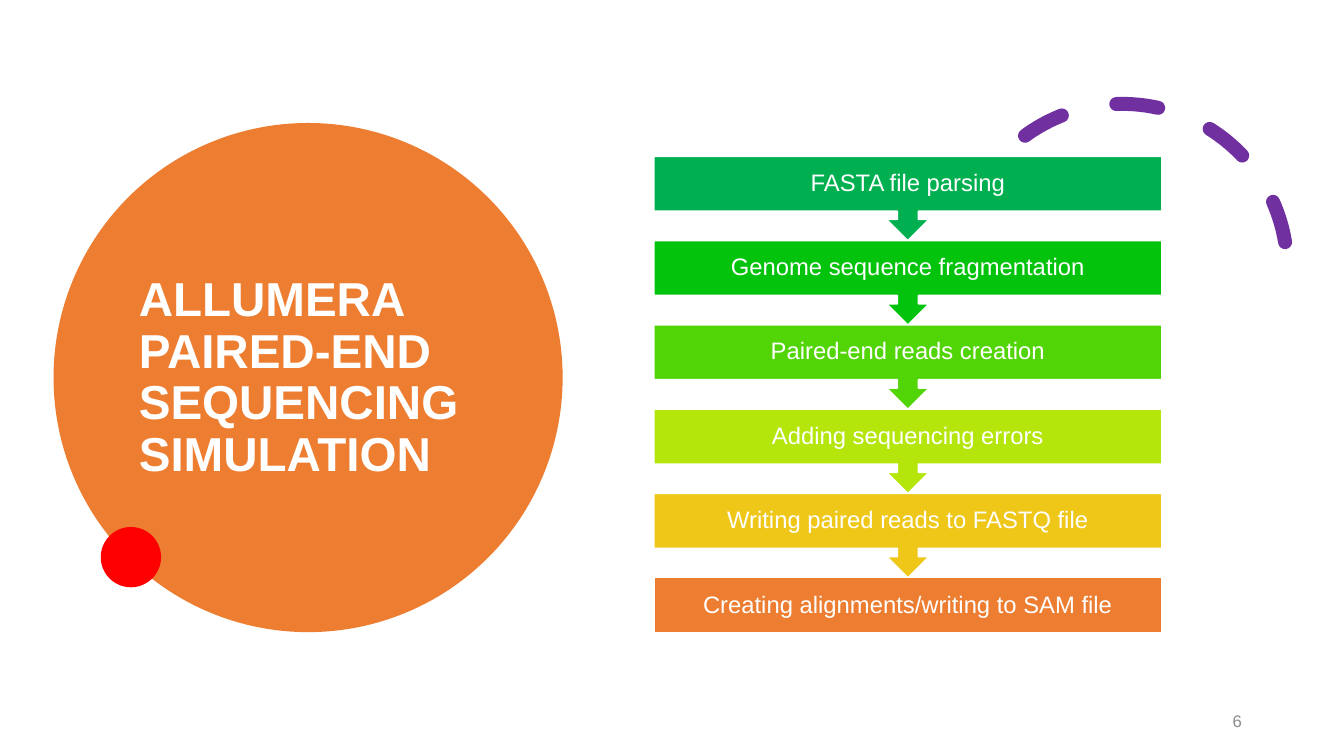
import pptx
import pptx.dml.color
import pptx.enum.dml
import pptx.enum.shapes
import pptx.enum.text
import pptx.oxml.ns
import pptx.util

Cm = pptx.util.Cm
Pt = pptx.util.Pt
RGBColor = pptx.dml.color.RGBColor
Shape = pptx.enum.shapes.MSO_SHAPE
Align = pptx.enum.text.PP_ALIGN

WHITE = RGBColor(0xFF, 0xFF, 0xFF)
ORANGE = RGBColor(0xED, 0x7D, 0x31)
RED = RGBColor(0xFF, 0x00, 0x00)
PURPLE = RGBColor(0x70, 0x30, 0xA0)
GREY = RGBColor(0x8C, 0x8C, 0x8C)
GREEN = RGBColor(0x00, 0xB0, 0x50)
BRIGHT_GREEN = RGBColor(0x03, 0xC3, 0x0C)
LEAF = RGBColor(0x52, 0xD5, 0x07)
LIME = RGBColor(0xB5, 0xE6, 0x0C)
GOLD = RGBColor(0xEF, 0xC7, 0x19)

TITLE = {"size": Pt(34), "bold": True, "color": WHITE}
STEP = {"size": Pt(17), "color": WHITE}
NUMBER = {"size": Pt(12), "color": GREY}

STEPS = [
    ("FASTA file parsing", GREEN),
    ("Genome sequence fragmentation", BRIGHT_GREEN),
    ("Paired-end reads creation", LEAF),
    ("Adding sequencing errors", LIME),
    ("Writing paired reads to FASTQ file", GOLD),
    ("Creating alignments/writing to SAM file", ORANGE),
]


def write_text(shape, text, look, align, spacing=1.0):
    frame = shape.text_frame
    frame.word_wrap = True
    frame.vertical_anchor = pptx.enum.text.MSO_ANCHOR.MIDDLE
    para = frame.paragraphs[0]
    para.alignment = align
    para.line_spacing = spacing
    span = para.add_run()
    span.text = text
    span.font.name = "Arial"
    for name, value in look.items():
        if name == "color":
            span.font.color.rgb = value
        else:
            setattr(span.font, name, value)


def add_filled(page, kind, left, top, width, height, color):
    shape = page.shapes.add_shape(kind, Cm(left), Cm(top), Cm(width), Cm(height))
    shape.shadow.inherit = False
    shape.fill.solid()
    shape.fill.fore_color.rgb = color
    shape.line.fill.background()
    return shape


def add_title_disc(page, left, top, size):
    add_filled(page, Shape.OVAL, left, top, size, size, ORANGE)
    box = page.shapes.add_textbox(
        Cm(left + 1.9), Cm(top + 0.79), Cm(9), Cm(11.3))
    write_text(box, "ALLUMERA PAIRED-END SEQUENCING SIMULATION",
               TITLE, Align.LEFT, 0.9)


def add_dashed_arc(page, left, top, size):
    arc = page.shapes.add_shape(
        Shape.ARC, Cm(left), Cm(top), Cm(size), Cm(size))
    arc.shadow.inherit = False
    arc.rotation = 330.2
    arc.adjustments[0] = 158.17
    arc.adjustments[1] = 17.81
    arc.fill.background()
    arc.line.color.rgb = PURPLE
    arc.line.width = Pt(10)
    arc.line.dash_style = pptx.enum.dml.MSO_LINE.DASH
    arc.element.spPr.find(pptx.oxml.ns.qn("a:ln")).set("cap", "rnd")


def add_steps(page, left, top, width, height):
    bar_height = 1.39
    pitch = (height - bar_height) / (len(STEPS) - 1)
    for index, (text, color) in enumerate(STEPS):
        is_last = index == len(STEPS) - 1
        kind = Shape.RECTANGLE if is_last else Shape.DOWN_ARROW_CALLOUT
        step_height = bar_height if is_last else pitch
        step = add_filled(page, kind, left, top + index * pitch,
                          width, step_height, color)
        step.line.color.rgb = WHITE
        step.line.width = Pt(1)
        write_text(step, text, STEP, Align.CENTER, 0.9)


def add_page_number(page, left, top, width, height):
    box = page.shapes.add_textbox(Cm(left), Cm(top), Cm(width), Cm(height))
    write_text(box, "6", NUMBER, Align.RIGHT)


def main():
    deck = pptx.Presentation()
    deck.slide_width = Cm(33.87)
    deck.slide_height = Cm(19.05)
    page = deck.slides.add_slide(deck.slide_layouts[6])
    add_title_disc(page, 1.35, 3.1, 12.83)
    add_dashed_arc(page, 24.13, 2.62, 8.31)
    add_filled(page, Shape.OVAL, 2.54, 13.28, 1.52, 1.52, RED)
    add_steps(page, 16.48, 3.94, 12.8, 12.01)
    add_page_number(page, 23.93, 17.65, 7.62, 1.02)
    deck.save("out.pptx")


if __name__ == "__main__":
    main()
